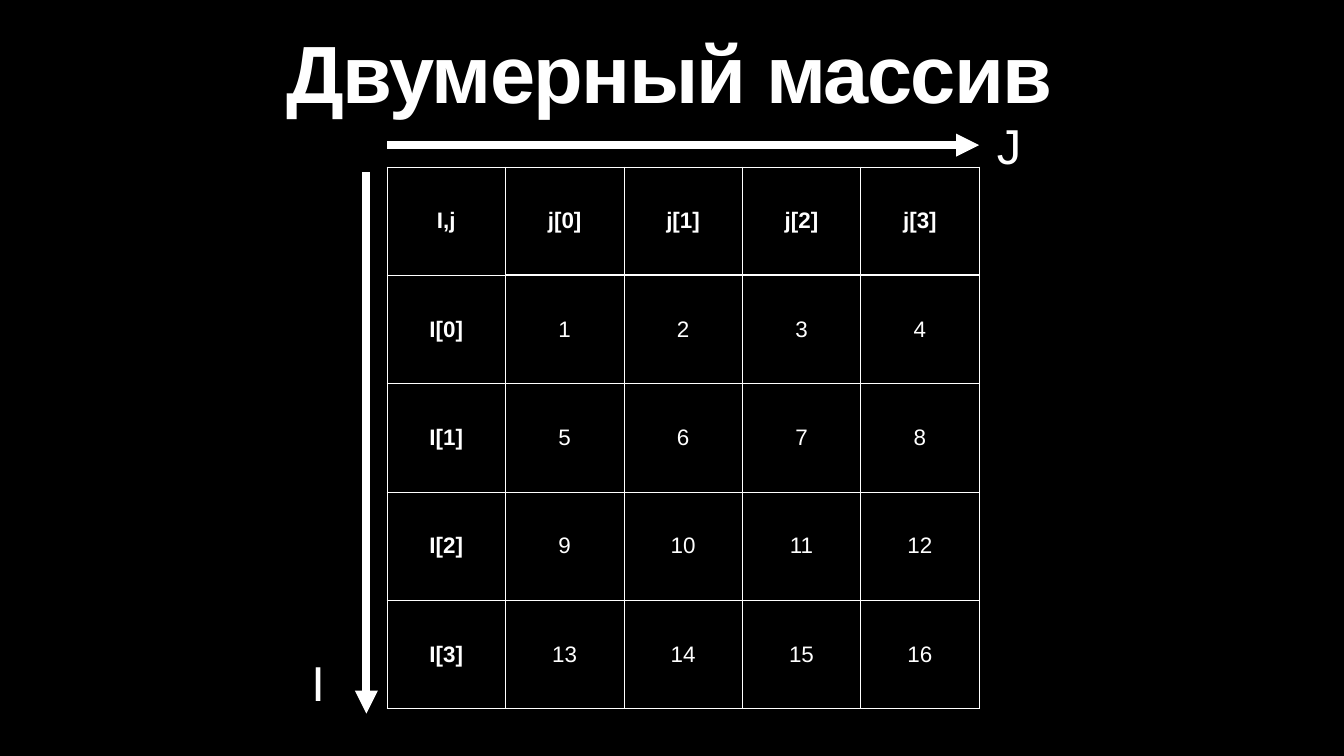
from lxml import etree
from pptx import Presentation
from pptx import util as u
from pptx.dml.color import RGBColor
from pptx.enum import shapes, text
from pptx.oxml.ns import qn

COLORS = {"back": "000000", "ink": "FFFFFF"}
FONT = "Arial"
SIZE = 4
CELL_W, CELL_H = 2.35, 2.15
LEFT, TOP = 7.68, 3.31
SIDE = CELL_W * (SIZE + 1)
INSET = u.Inches(0.06)
THIN, THICK = 1, 3


def color(name):
    return RGBColor.from_string(COLORS[name])


def format_text(frame, size, bold=False, align=text.PP_ALIGN.CENTER):
    paragraph = frame.paragraphs[0]
    paragraph.alignment = align
    font = paragraph.font
    font.name, font.size, font.bold = FONT, u.Pt(size), bold
    font.color.rgb = color("ink")
    return paragraph


def set_insets(target):
    target.margin_left = target.margin_right = INSET
    target.margin_top = target.margin_bottom = INSET


def add_title(slide, wording):
    title = slide.shapes.title
    title.left, title.top = u.Inches(5.63), u.Inches(0.24)
    title.width, title.height = u.Inches(15.82), u.Inches(2.18)
    frame = title.text_frame
    frame.text = wording
    frame.vertical_anchor = text.MSO_ANCHOR.BOTTOM
    frame.auto_size = text.MSO_AUTO_SIZE.NONE
    set_insets(frame)
    paragraph = format_text(frame, 116, True, text.PP_ALIGN.LEFT)
    paragraph.line_spacing = 0.8
    paragraph.runs[0].font._element.set("spc", "-230")


def set_borders(cell, row, col):
    """Thick edges divide the index row and column from the values."""
    widths = {
        "lnL": THICK if col == 1 and row else THIN,
        "lnR": THICK if col == 0 and row else THIN,
        "lnT": THICK if row == 1 and col else THIN,
        "lnB": THICK if row == 0 and col else THIN,
    }
    properties = cell._tc.get_or_add_tcPr()
    for side, width in widths.items():
        line = etree.SubElement(properties, qn(f"a:{side}"), w=str(u.Pt(width)))
        fill = etree.SubElement(line, qn("a:solidFill"))
        etree.SubElement(fill, qn("a:srgbClr"), val=COLORS["ink"])


def cell_wording(row, col):
    if row and col:
        return str((row - 1) * SIZE + col)
    if row:
        return f"I[{row - 1}]"
    return f"j[{col - 1}]" if col else "I,j"


def add_matrix(slide):
    count = SIZE + 1
    matrix = slide.shapes.add_table(
        count, count, u.Inches(LEFT), u.Inches(TOP),
        u.Inches(SIDE), u.Inches(CELL_H * count)).table
    matrix.horz_banding = False
    matrix.first_col = True
    for row in range(count):
        for col in range(count):
            cell = matrix.cell(row, col)
            cell.text = cell_wording(row, col)
            cell.vertical_anchor = text.MSO_ANCHOR.MIDDLE
            set_insets(cell)
            format_text(cell.text_frame, 32, bold=not (row and col))
            set_borders(cell, row, col)
            cell.fill.background()


def add_arrow(slide, *ends):
    arrow = slide.shapes.add_connector(
        shapes.MSO_CONNECTOR.STRAIGHT, *map(u.Inches, ends))
    arrow.line.color.rgb = color("ink")
    arrow.line.width = u.Pt(11)
    etree.SubElement(arrow.line._get_or_add_ln(), qn("a:tailEnd"), type="triangle")
    etree.SubElement(arrow._element.spPr, qn("a:effectLst"))


def add_axis_name(slide, name, left, top, width):
    frame = slide.shapes.add_textbox(
        *map(u.Inches, (left, top, width, 1.25))).text_frame
    frame.text = name
    frame.word_wrap = False
    frame.auto_size = text.MSO_AUTO_SIZE.SHAPE_TO_FIT_TEXT
    frame.vertical_anchor = text.MSO_ANCHOR.MIDDLE
    set_insets(frame)
    format_text(frame, 70)


def main():
    deck = Presentation()
    deck.slide_width, deck.slide_height = u.Inches(26.67), u.Inches(15)
    slide = deck.slides.add_slide(deck.slide_layouts[5])
    backdrop = slide.background.fill
    backdrop.solid()
    backdrop.fore_color.rgb = color("back")

    add_title(slide, "Двумерный массив")
    add_matrix(slide)
    add_arrow(slide, LEFT, 2.88, LEFT + SIDE, 2.88)
    add_arrow(slide, 7.27, 3.42, 7.27, 14.16)
    add_axis_name(slide, "J", 19.71, 2.26, 0.63)
    add_axis_name(slide, "I", 6.12, 12.9, 0.38)
    deck.save("out.pptx")


if __name__ == "__main__":
    main()
